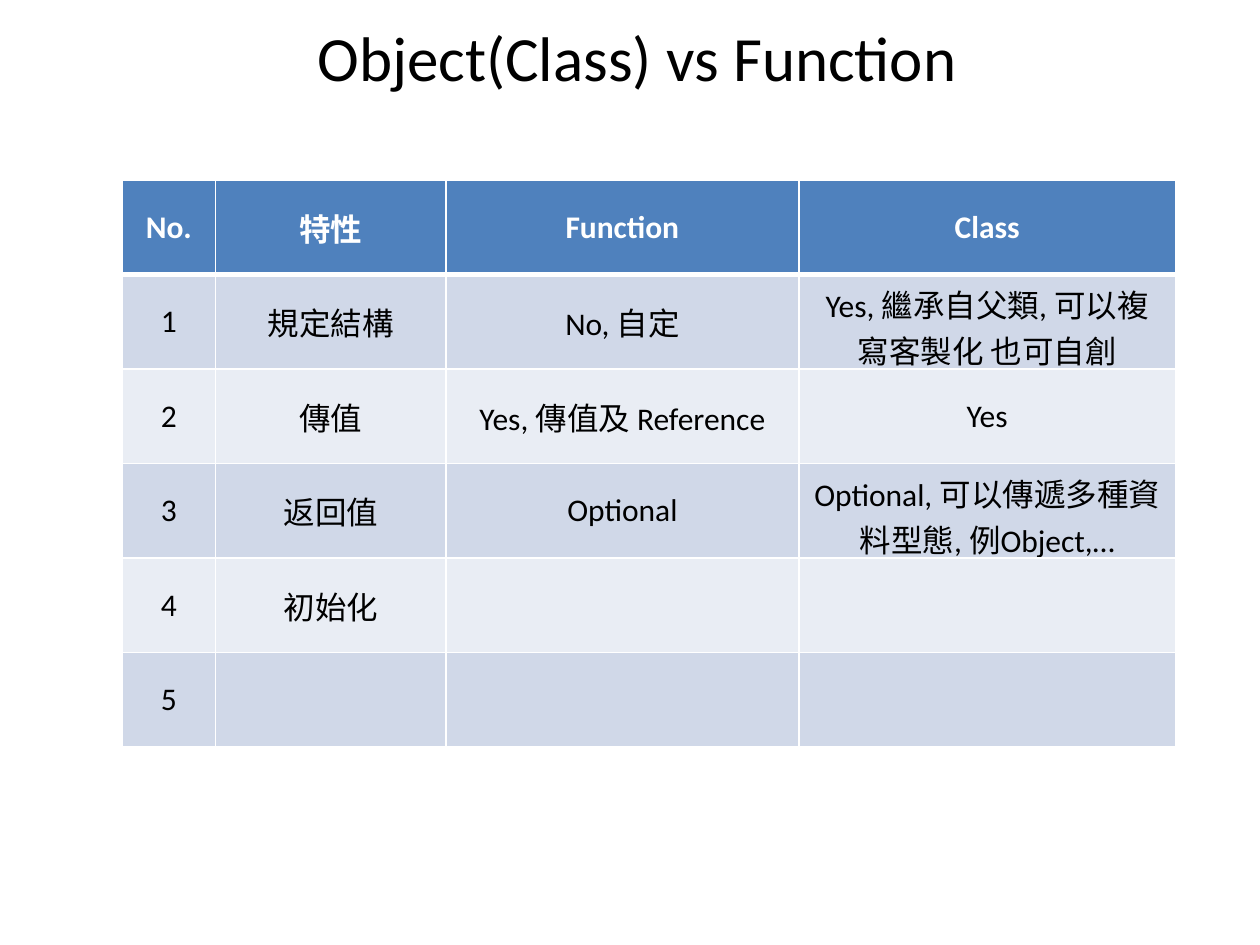
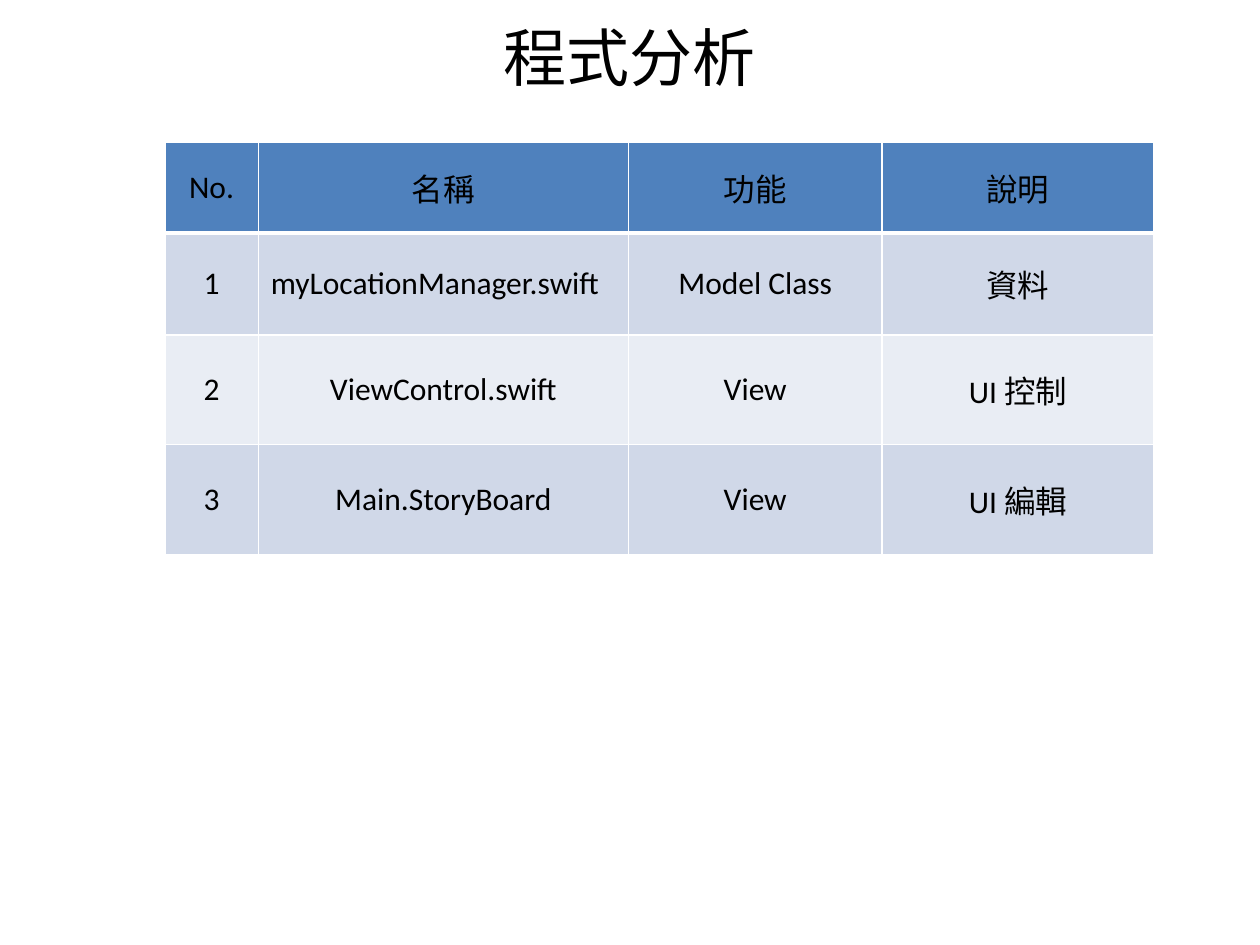
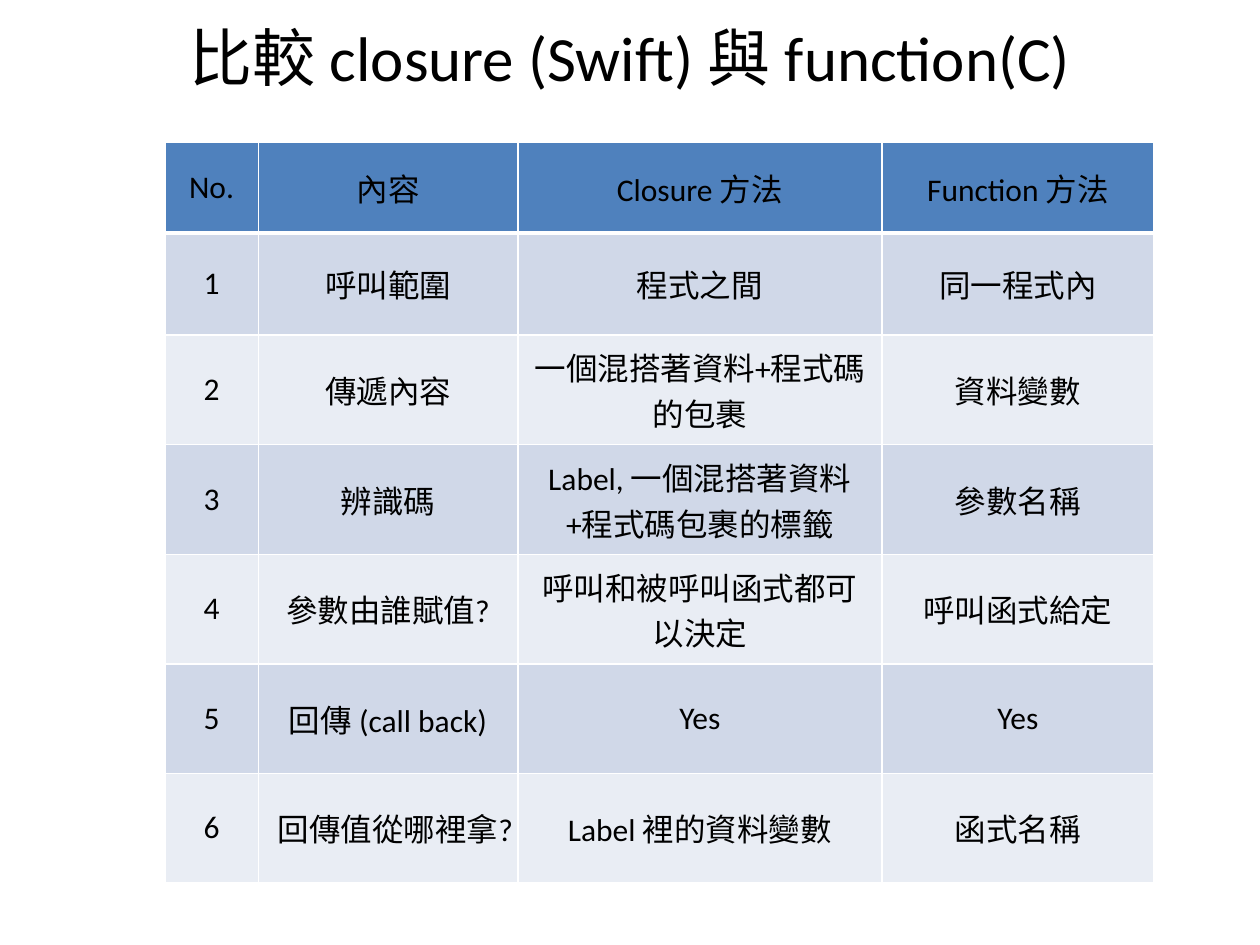
import pptx
import pptx.util
import pptx.dml.color
import pptx.enum.text
import lxml.etree

Inch = pptx.util.Inches
Align = pptx.enum.text.PP_ALIGN
MID = pptx.enum.text.MSO_ANCHOR.MIDDLE
WIDE, HIGH = 10, 7.5
FONT = "Calibri"
HUES = {"text": "000000", "line": "FFFFFF", "head": "4F81BD",
        "odd": "D0D8E8", "even": "E9EDF4"}

# Table text: one tuple per row, numbers are added by rule
TRAITS = [
    ("特性", "Function", "Class"),
    ("規定結構", "No, 自定", "Yes, 繼承自父類, 可以複寫客製化 也可自創"),
    ("傳值", "Yes, 傳值及 Reference", "Yes"),
    ("返回值", "Optional", "Optional, 可以傳遞多種資料型態, 例Object,…"),
    ("初始化", "", ""),
    ("", "", ""),
]
FILES = [
    ("名稱", "功能", "說明"),
    ("myLocationManager.swift", "Model Class", "資料"),
    ("ViewControl.swift", "View", "UI 控制"),
    ("Main.StoryBoard", "View", "UI 編輯"),
]
CALLS = [
    ("內容", "Closure 方法", "Function 方法"),
    ("呼叫範圍", "程式之間", "同一程式內"),
    ("傳遞內容", "一個混搭著資料+程式碼的包裹", "資料變數"),
    ("辨識碼", "Label, 一個混搭著資料+程式碼包裹的標籤", "參數名稱"),
    ("參數由誰賦值?", "呼叫和被呼叫函式都可以決定", "呼叫函式給定"),
    ("回傳 (call back)", "Yes", "Yes"),
    ("回傳值從哪裡拿?", "Label 裡的資料變數", "函式名稱"),
]


def paint(name):
    return pptx.dml.color.RGBColor.from_string(HUES[name])


def write(frame, text, size, hue="text", bold=False, align=Align.CENTER):
    """Put one styled line of text into a frame."""
    para = frame.paragraphs[0]
    para.alignment = align
    if not text:
        para.font.size = pptx.util.Pt(size)
        return
    run = para.add_run()
    run.text = text
    style = {"name": FONT, "size": pptx.util.Pt(size), "bold": bold}
    for key, value in style.items():
        setattr(run.font, key, value)
    run.font.color.rgb = paint(hue)


def title(slide, text):
    box = slide.shapes.add_textbox(0, Inch(-0.01), Inch(WIDE), Inch(0.91))
    frame = box.text_frame
    frame.word_wrap = True
    frame.vertical_anchor = MID
    write(frame, text, 36)


def edge(cell, base):
    """Draw the four cell borders; base is the bottom width in points."""
    props = cell._tc.get_or_add_tcPr()
    space = props.nsmap["a"]
    for side, width in {"L": 1, "R": 1, "T": 1, "B": base}.items():
        line = lxml.etree.SubElement(props, f"{{{space}}}ln{side}",
                                     w=str(pptx.util.Pt(width)))
        fill = lxml.etree.SubElement(line, f"{{{space}}}solidFill")
        lxml.etree.SubElement(fill, f"{{{space}}}srgbClr", val=HUES["line"])


def grid(slide, data, left, top, cols, rows, bright=False, flush=()):
    """Add a numbered table; flush lists the left-aligned cells."""
    frame = slide.shapes.add_table(len(rows), len(cols), Inch(left), Inch(top),
                                   Inch(sum(cols)), Inch(sum(rows)))
    table = frame.table
    for col, width in zip(table.columns, cols):
        col.width = Inch(width)
    for r, (words, height) in enumerate(zip(data, rows)):
        table.rows[r].height = Inch(height)
        band = "head" if r == 0 else ("even", "odd")[r % 2]
        vivid = bright and r == 0
        for c, text in enumerate((str(r) if r else "No.", *words)):
            cell = table.cell(r, c)
            cell.vertical_anchor = MID
            edge(cell, 1 if r else 3)
            cell.fill.solid()
            cell.fill.fore_color.rgb = paint(band)
            align = Align.LEFT if (r, c) in flush else Align.CENTER
            write(cell.text_frame, text, 18, "line" if vivid else "text",
                  vivid, align)


def main():
    deck = pptx.Presentation()
    deck.slide_width, deck.slide_height = Inch(WIDE), Inch(HIGH)

    def page(text):
        slide = deck.slides.add_slide(deck.slide_layouts[6])
        title(slide, text)
        return slide

    # Object and function traits
    grid(page(" Object(Class) vs Function"), TRAITS, 0.97, 1.43,
         [0.74, 1.83, 2.8, 2.99], [0.75] * 6, bright=True)

    # Program files
    tall = [0.72, 0.81]
    grid(page("程式分析"), FILES, 1.31, 1.13,
         [0.74, 2.94, 2.01, 2.16], tall + [0.87] * 2, flush={(1, 1)})

    # Closure and function calls
    grid(page("比較 closure (Swift) 與 function(C)"), CALLS, 1.31, 1.13,
         [0.74, 2.06, 2.89, 2.16], tall + [0.87] * 5)

    deck.save("out.pptx")


if __name__ == "__main__":
    main()
